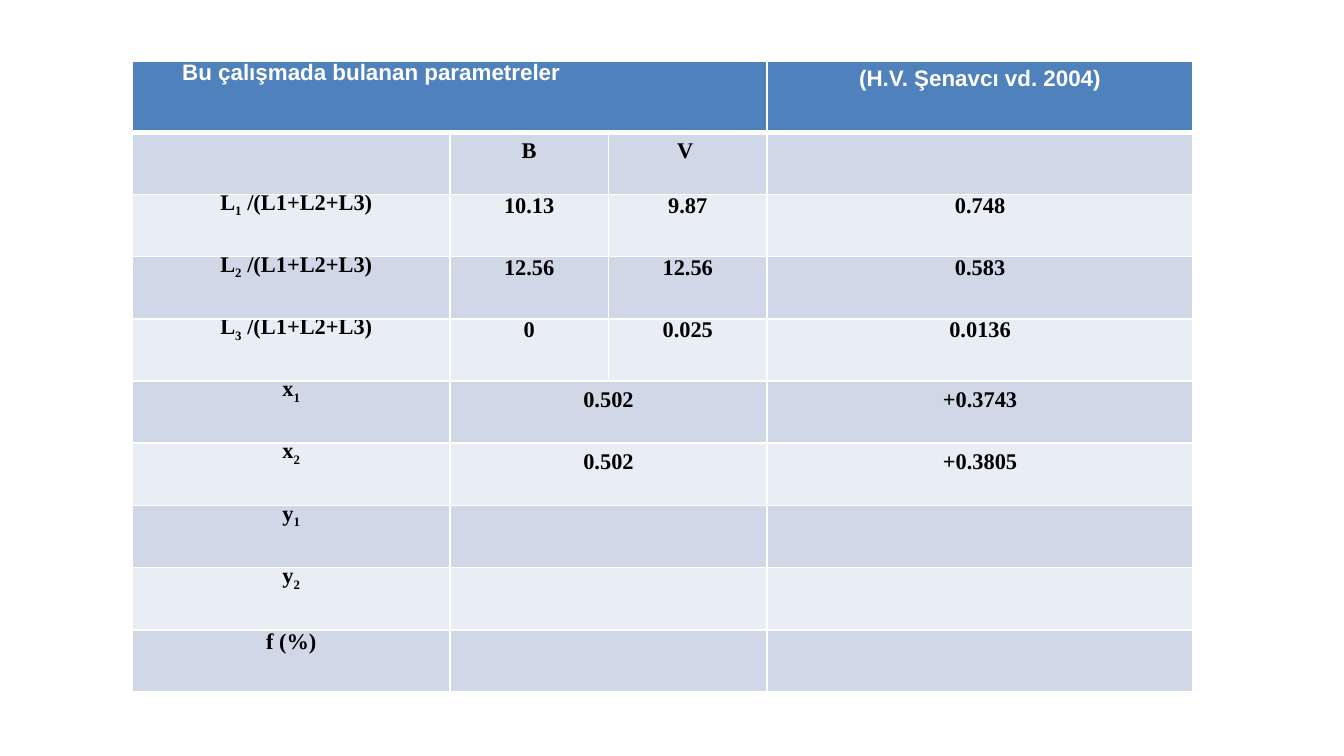
"""Build a slide with a table comparing light curve parameters."""
from lxml.etree import SubElement
from pptx import Presentation
from pptx.dml.color import RGBColor
from pptx.enum.text import PP_ALIGN
from pptx.oxml.ns import qn
from pptx.util import Pt


def rgb(value):
    return RGBColor.from_string(value)


def add_border(tc_pr, side, width):
    ln = SubElement(tc_pr, qn(f"a:ln{side}"), w=str(Pt(width)))
    fill = SubElement(ln, qn("a:solidFill"))
    SubElement(fill, qn("a:srgbClr"), val="FFFFFF")


WIDTHS = [170, 85, 85, 228.2]
HEIGHTS = [38.2] + [33.35] * 9
BANDS = ["E9EDF4", "D0D8E8"]
HEAD_FONT = {"name": "Arial", "size": Pt(12), "bold": True}
BODY_FONT = {"name": "Times New Roman", "size": Pt(12), "bold": True}
NO_INSETS = dict.fromkeys(["margin_left", "margin_right", "margin_top", "margin_bottom"], 0)
LIGHT = [(16.5, 11), (12.2, 12.2), (12.2, 12.2), (39, 39)]
POSITION = [(26, 26), None, None, None]

# Text between bars is subscript; each row gives space before, margins and texts.
ROWS = [
    (0, [(26.6, 0), None, None, (39, 39)],
     ["Bu çalışmada bulanan parametreler", "", "", "(H.V. Şenavcı vd. 2004)"]),
    (0, [None] * 4, ["", "B", "V ", ""]),
    (5.5, LIGHT, ["L|1| /(L1+L2+L3)", "10.13", "9.87", "0.748"]),
    (4.8, LIGHT, ["L|2| /(L1+L2+L3)", "12.56", "12.56", "0.583"]),
    (4.8, LIGHT, ["L|3| /(L1+L2+L3)", "0", "0.025", "0.0136"]),
    (2.6, POSITION, ["x|1", "0.502", "", "+0.3743"]),
    (3.3, POSITION, ["x|2", "0.502", "", "+0.3805"]),
    (2.6, POSITION, ["y|1", "", "", ""]),
    (4.8, POSITION, ["y|2", "", "", ""]),
    (4.8, POSITION, ["f (%)", "", "", ""]),
]

prs = Presentation()
prs.slide_width, prs.slide_height = Pt(720), Pt(405)
s = prs.slides.add_slide(prs.slide_layouts[6])
tbl = s.shapes.add_table(len(ROWS), len(WIDTHS), Pt(71), Pt(32.6),
                         Pt(sum(WIDTHS)), Pt(sum(HEIGHTS))).table
for col, width in zip(tbl.columns, WIDTHS):
    col.width = Pt(width)
for row, height in zip(tbl.rows, HEIGHTS):
    row.height = Pt(height)

tbl.cell(0, 0).merge(tbl.cell(0, 2))
for i in range(5, len(ROWS)):
    tbl.cell(i, 1).merge(tbl.cell(i, 2))

for i, (before, margins, texts) in enumerate(ROWS):
    font = BODY_FONT if i else HEAD_FONT
    for j, (text, margin) in enumerate(zip(texts, margins)):
        cell = tbl.cell(i, j)
        tc_pr = cell._tc.get_or_add_tcPr()
        for side, width in {"L": 1, "R": 1, "T": 3 if i == 1 else 1, "B": 1 if i else 3}.items():
            add_border(tc_pr, side, width)
        cell.fill.solid()
        cell.fill.fore_color.rgb = rgb(BANDS[i % 2] if i else "4F81BD")
        if not text:
            continue
        p = cell.text_frame.paragraphs[0]
        fmt = {"alignment": PP_ALIGN.CENTER if i or j else PP_ALIGN.LEFT}
        if margin:
            fmt |= {"space_before": Pt(before), "line_spacing": Pt(12.9 if i else 12.8)}
            p_pr = p._p.get_or_add_pPr()
            for key, value in zip(["marL", "marR"], margin):
                p_pr.set(key, str(Pt(value)))
            if i or j == 0:
                for key, value in NO_INSETS.items():
                    setattr(cell, key, value)
        for key, value in fmt.items():
            setattr(p, key, value)
        for k, part in enumerate(text.split("|")):
            r = p.add_run()
            r.text = part
            for key, value in font.items():
                setattr(r.font, key, value)
            r.font.color.rgb = rgb("000000" if i else "FFFFFF")
            if k % 2:
                r._r.get_or_add_rPr().set("baseline", "-25000")

prs.save("out.pptx")
